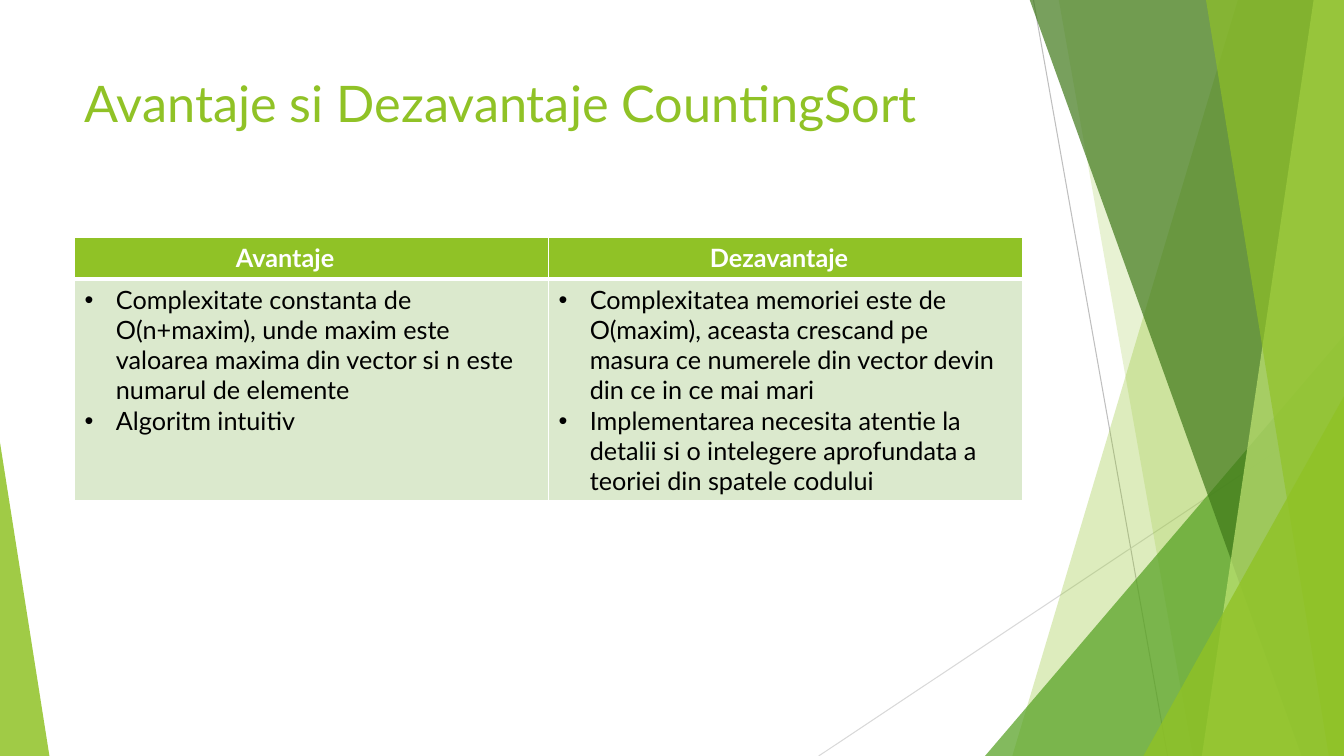
from lxml.etree import SubElement
from pptx import Presentation
from pptx.dml.color import RGBColor
from pptx.enum.shapes import MSO_CONNECTOR as Connector, MSO_SHAPE as Preset
from pptx.enum.text import MSO_ANCHOR as Anchor, MSO_AUTO_SIZE as AutoSize, PP_ALIGN as Align
from pptx.oxml.ns import qn
from pptx.util import Inches, Pt

WIDTH, HEIGHT = 13.33, 7.5
TOP = -0.01
COLORS = {
    "lime": "90C226", "green": "54A021", "forest": "3F7819", "pale": "C0E474",
    "mint": "DBE9CD", "white": "FFFFFF", "black": "000000",
    "gray": "BFBFBF", "silver": "D9D9D9",
}


class SlideBuilder:
    font = "Lato"

    def __init__(self, page):
        self.page = page

    def color(self, name):
        return RGBColor.from_string(COLORS[name])

    def paint(self, shape, name, opacity):
        shape.shadow.inherit = False
        shape.line.fill.background()
        shape.fill.solid()
        shape.fill.fore_color.rgb = self.color(name)
        tint = shape._element.spPr.find(qn("a:solidFill"))[0]
        SubElement(tint, qn("a:alpha"), val=str(opacity * 1000))

    def line(self, start, end, name):
        ends = [Inches(value) for value in (*start, *end)]
        connector = self.page.shapes.add_connector(Connector.STRAIGHT, *ends)
        connector.line.color.rgb = self.color(name)
        connector.line.width = Pt(0.75)
        SubElement(connector._element.spPr, qn("a:effectLst"))

    def facet(self, top_left, bottom_left, name, opacity):
        corners = [(top_left, TOP), (WIDTH, TOP), (WIDTH, HEIGHT), (bottom_left, HEIGHT)]
        points = [(Inches(x), Inches(y)) for x, y in corners]
        builder = self.page.shapes.build_freeform(*points[0])
        builder.add_line_segments(points[1:], close=True)
        self.paint(builder.convert_to_shape(), name, opacity)

    def triangle(self, left, top, width, apex, name, opacity):
        shape = self.page.shapes.add_shape(
            Preset.ISOSCELES_TRIANGLE, Inches(left), Inches(top),
            Inches(width), Inches(HEIGHT - top))
        shape.adjustments[0] = apex
        self.paint(shape, name, opacity)

    def add_text(self, para, text, size, name, bold=False):
        para.alignment = Align.LEFT
        run = para.add_run()
        run.text = text
        run.font.name = self.font
        run.font.size = Pt(size)
        run.font.bold = bold
        run.font.color.rgb = self.color(name)

    def title(self, text, left, top, width, height):
        box = self.page.shapes.title
        box.left, box.top = Inches(left), Inches(top)
        box.width, box.height = Inches(width), Inches(height)
        frame = box.text_frame
        frame.word_wrap = True
        frame.auto_size = AutoSize.NONE
        frame.vertical_anchor = Anchor.TOP
        self.add_text(frame.paragraphs[0], text, 36, "lime")

    def indent(self, para, margin, hanging=0):
        props = para._p.get_or_add_pPr()
        props.set("marL", str(Inches(margin)))
        props.set("indent", str(Inches(-hanging)))
        if hanging:
            SubElement(props, qn("a:buFont"), typeface="Arial")
            SubElement(props, qn("a:buChar"), char="•")

    def style_cell(self, cell, name, bottom_width):
        props = cell._tc.get_or_add_tcPr()
        for side, width in (("L", 1), ("R", 1), ("T", 1), ("B", bottom_width)):
            border = SubElement(props, qn(f"a:ln{side}"), w=str(Pt(width)))
            solid = SubElement(border, qn("a:solidFill"))
            SubElement(solid, qn("a:srgbClr"), val=COLORS["white"])
        cell.fill.solid()
        cell.fill.fore_color.rgb = self.color(name)

    def comparison(self, columns, left, top, width, row_heights):
        table = self.page.shapes.add_table(
            2, len(columns), Inches(left), Inches(top),
            Inches(width), Inches(sum(row_heights))).table
        table.horz_banding = False
        for row, height in zip(table.rows, row_heights):
            row.height = Inches(height)
        for index, (heading, items) in enumerate(columns.items()):
            table.columns[index].width = Inches(width / len(columns))
            header, body = table.cell(0, index), table.cell(1, index)
            self.style_cell(header, "lime", 3)
            self.style_cell(body, "mint", 1)
            para = header.text_frame.paragraphs[0]
            self.indent(para, 1.5)
            self.add_text(para, heading, 18, "white", bold=True)
            frame = body.text_frame
            for number, item in enumerate(items):
                para = frame.add_paragraph() if number else frame.paragraphs[0]
                self.indent(para, 0.31, 0.31)
                self.add_text(para, item, 18, "black")


deck = Presentation()
deck.slide_width, deck.slide_height = Inches(WIDTH), Inches(HEIGHT)
slide = SlideBuilder(deck.slides.add_slide(deck.slide_layouts[5]))

slide.line((10.25, 0), (11.58, HEIGHT), "gray")
slide.line((WIDTH, 4.03), (8.12, HEIGHT), "silver")
slide.facet(12.28, 10.04, "lime", 30)
slide.facet(10.5, 11.83, "lime", 20)
slide.triangle(9.77, 3.33, 3.56, 1, "green", 72)
slide.facet(10.21, 12.91, "forest", 70)
slide.facet(13.03, 11.92, "pale", 70)
slide.facet(11.96, 13.18, "lime", 65)
slide.triangle(11.34, 3.93, 1.99, 1, "lime", 80)
slide.triangle(0, 4.39, 0.49, 0, "lime", 85)

slide.title("Avantaje si\u00a0Dezavantaje CountingSort", 0.74, 0.67, 9.4, 1.44)
slide.comparison({
    "Avantaje": [
        "Complexitate constanta de O(n+maxim), unde maxim este valoarea maxima "
        "din vector si n este numarul de elemente",
        "Algoritm intuitiv",
    ],
    "Dezavantaje": [
        "Complexitatea memoriei este de O(maxim), aceasta\u00a0crescand pe masura ce "
        "numerele din vector devin din ce in ce mai mari",
        "Implementarea necesita atentie la detalii si o intelegere aprofundata "
        "a teoriei din spatele codului",
    ],
}, 0.74, 2.36, 9.4, (0.41, 2.2))

deck.save("out.pptx")
